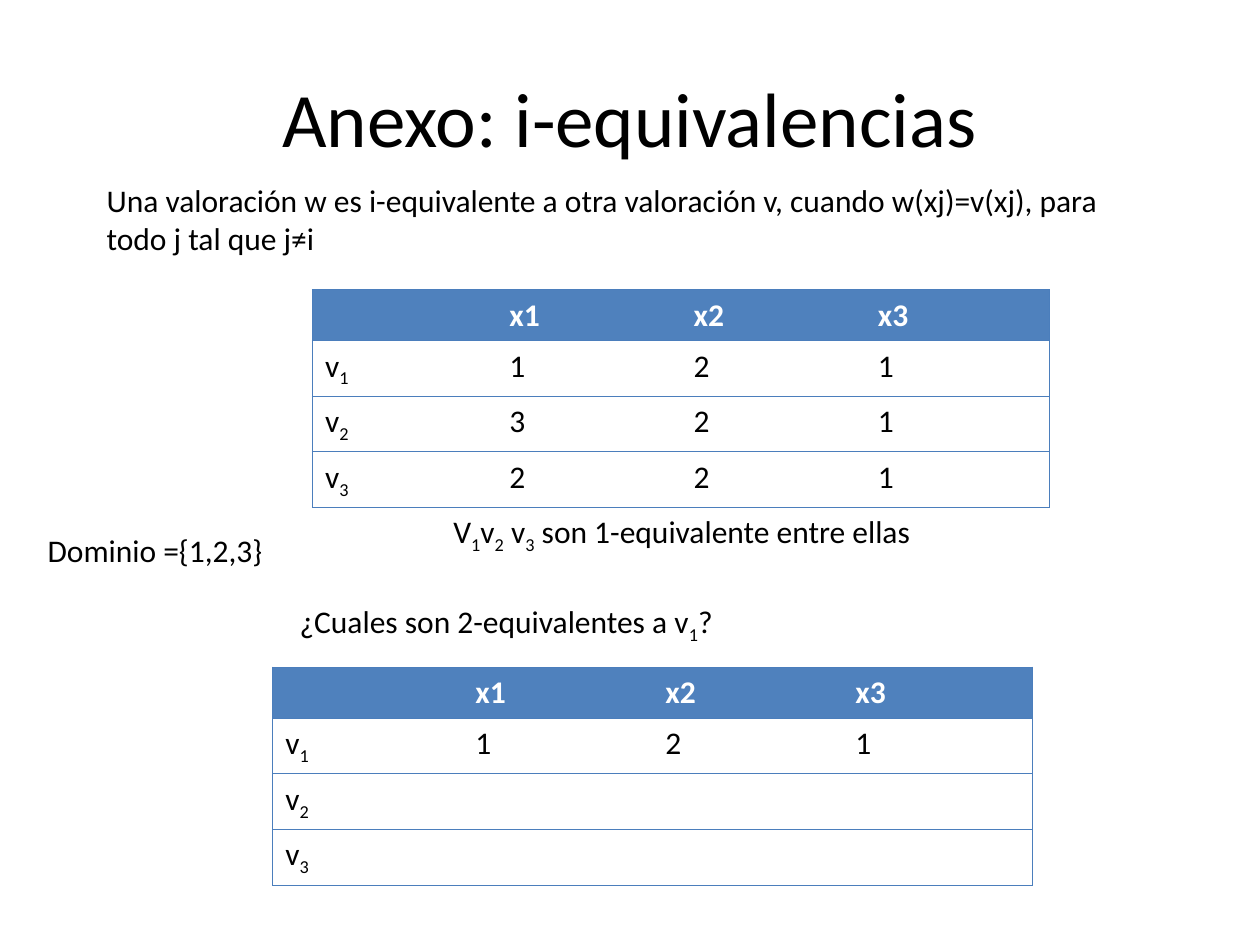
from lxml.etree import SubElement
from pptx import Presentation
from pptx.dml.color import RGBColor
from pptx.enum.text import MSO_ANCHOR, MSO_AUTO_SIZE, PP_ALIGN
from pptx.oxml.ns import qn
from pptx.util import Cm, Pt

BLACK, WHITE, BLUE, BORDER = "000000", "FFFFFF", "4F81BD", "4B7EBC"
HEADER = ["", "x1", "x2", "x3"]


def color(value):
    return RGBColor.from_string(value)


class SlideBuilder:
    font_name = "Calibri"
    body_size = 18
    header_height = 1.03
    row_height = 1.12

    def __init__(self, page):
        self.page = page

    def add_spans(self, para, text, size=body_size, ink=BLACK, bold=False):
        """Add runs to a paragraph; the character after each "_" is a subscript."""
        first, *rest = text.split("_")
        pieces = [(first, False)]
        for part in rest:
            pieces += [(part[:1], True), (part[1:], False)]
        for piece, subscript in pieces:
            if not piece:
                continue
            span = para.add_run()
            span.text = piece
            span.font.name = self.font_name
            span.font.size = Pt(size)
            span.font.bold = bold
            span.font.color.rgb = color(ink)
            if subscript:
                span.font._element.set("baseline", "-25000")

    def title(self, text):
        box = self.page.shapes.title
        box.left, box.top, box.width, box.height = Cm(1.27), Cm(0.76), Cm(22.86), Cm(3.18)
        box.text_frame.vertical_anchor = MSO_ANCHOR.MIDDLE
        para = box.text_frame.paragraphs[0]
        para.alignment = PP_ALIGN.CENTER
        self.add_spans(para, text, size=44)

    def text(self, text, left, top, width, height, wrap=False):
        box = self.page.shapes.add_textbox(Cm(left), Cm(top), Cm(width), Cm(height))
        box.text_frame.word_wrap = wrap
        box.text_frame.auto_size = MSO_AUTO_SIZE.SHAPE_TO_FIT_TEXT
        self.add_spans(box.text_frame.paragraphs[0], text)

    def borders(self, cell, visible_sides):
        properties = cell._tc.get_or_add_tcPr()
        for side in "LRTB":
            line = SubElement(properties, qn(f"a:ln{side}"), w=str(Pt(0.75)))
            if side in visible_sides:
                fill = SubElement(line, qn("a:solidFill"))
                SubElement(fill, qn("a:srgbClr"), val=BORDER)
            else:
                SubElement(line, qn("a:noFill"))

    def table(self, rows, left, top, width):
        last_column = len(HEADER) - 1
        height = self.header_height + self.row_height * len(rows)
        frame = self.page.shapes.add_table(
            len(rows) + 1, len(HEADER), Cm(left), Cm(top), Cm(width), Cm(height))
        table = frame.table
        table.horz_banding = False
        for row_index, values in enumerate([HEADER, *rows]):
            is_header = row_index == 0
            table.rows[row_index].height = Cm(self.header_height if is_header else self.row_height)
            for column, value in enumerate(values):
                cell = table.cell(row_index, column)
                sides = "TB" + "L" * (column == 0) + "R" * (column == last_column)
                self.borders(cell, sides)
                if is_header:
                    cell.fill.solid()
                    cell.fill.fore_color.rgb = color(BLUE)
                else:
                    cell.fill.background()
                self.add_spans(cell.text_frame.paragraphs[0], value,
                               ink=WHITE if is_header else BLACK, bold=is_header)


def main():
    deck = Presentation()
    deck.slide_width, deck.slide_height = Cm(25.4), Cm(19.05)
    slide = SlideBuilder(deck.slides.add_slide(deck.slide_layouts[5]))

    slide.title("Anexo: i-equivalencias")
    slide.table([["v_1", "1", "2", "1"],
                 ["v_2", "3", "2", "1"],
                 ["v_3", "2", "2", "1"]], 6.3, 5.84, 14.86)
    slide.text("Dominio ={1,2,3}", 0.71, 10.59, 4.9, 1.03)
    slide.table([["v_1", "1", "2", "1"],
                 ["v_2", "", "", ""],
                 ["v_3", "", "", ""]], 5.5, 13.45, 15.32)
    slide.text("V_1v_2 v_3 son 1-equivalente entre ellas", 8.89, 10.19, 9.93, 1.03)
    slide.text("¿Cuales son 2-equivalentes a v_1?", 5.79, 12.01, 8.97, 1.8)
    slide.text("Una valoración w es i-equivalente a otra valoración v, "
               "cuando w(xj)=v(xj), para todo j tal que j≠i",
               1.9, 3.53, 21.41, 1.8, wrap=True)
    deck.save("out.pptx")


if __name__ == "__main__":
    main()
